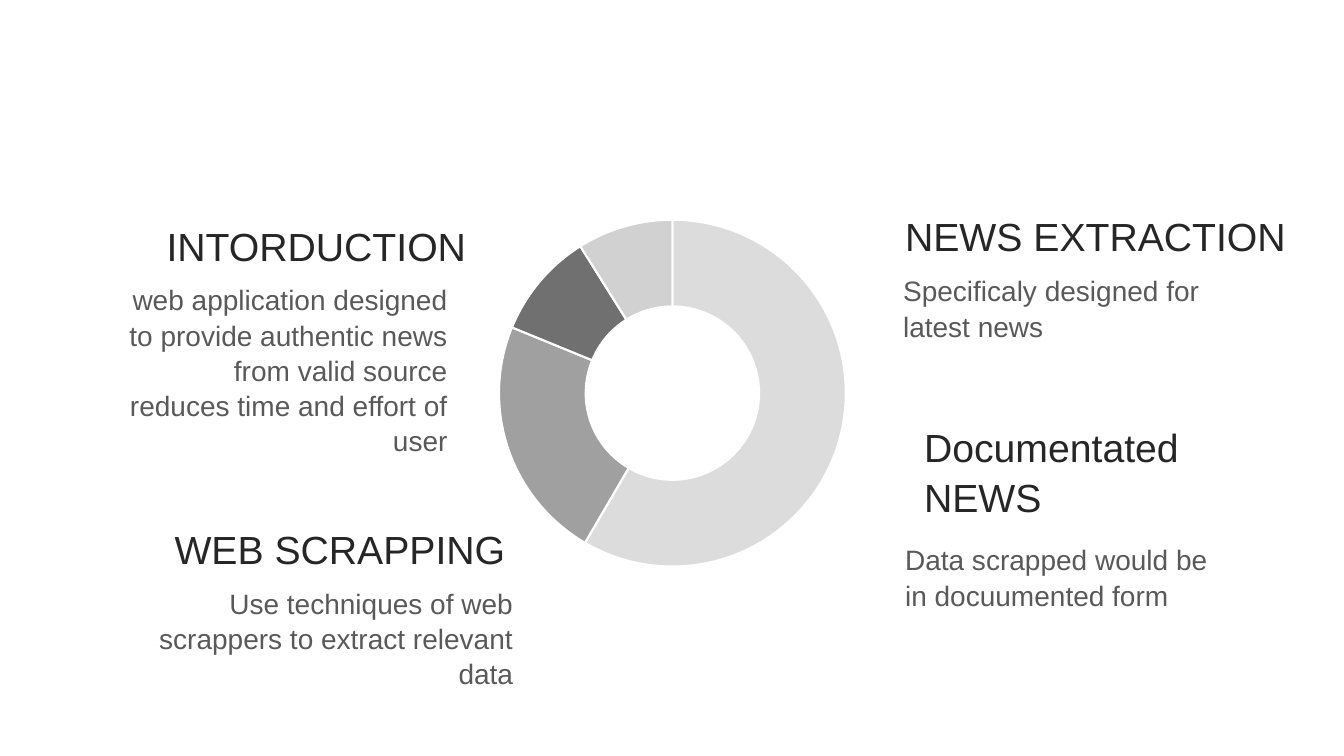
"""Build a slide with a doughnut chart framed by four captioned topics."""
from dataclasses import dataclass

import lxml.etree
import pptx
import pptx.chart.data
import pptx.dml.color
import pptx.enum.chart
import pptx.enum.text
import pptx.oxml
import pptx.oxml.ns
import pptx.util

Pt = pptx.util.Pt
ALIGN = pptx.enum.text.PP_ALIGN
FONT = "Arial"
HEADING_COLOR, BODY_COLOR = "262626", "595959"
SLICE_COLORS = ["DCDCDC", "A0A0A0", "707070", "D1D1D1"]


@dataclass
class Box:
    text: str
    left: float
    top: float
    width: float
    height: float


@dataclass
class Topic:
    heading: Box
    body: Box
    align: ALIGN


TOPICS = [
    Topic(Box("NEWS EXTRACTION", 639.4, 146.2, 287.3, 41),
          Box("Specificaly designed for latest news", 638, 190.8, 242.6, 55.4),
          ALIGN.LEFT),
    Topic(Box("Documentated NEWS", 653, 297.4, 212.4, 74.9),
          Box("Data scrapped would be in docuumented form", 639.4, 383, 242.6, 55.4),
          ALIGN.LEFT),
    Topic(Box("INTORDUCTION", 110.9, 153.4, 229, 41),
          Box("web application designed to provide authentic news from valid source "
              "reduces time and effort of user", 84.2, 197.3, 242.6, 128.2),
          ALIGN.RIGHT),
    Topic(Box("WEB SCRAPPING", 114.5, 370, 253.4, 41),
          Box("Use techniques of web scrappers to extract relevant data",
              84.2, 414, 289.4, 79.9),
          ALIGN.RIGHT),
]


def set_color(target, color: str) -> None:
    """Apply a hex colour to a solid fill."""
    target.solid()
    target.fore_color.rgb = pptx.dml.color.RGBColor.from_string(color)


def add_text(shapes, box: Box, size: float, color: str, align: ALIGN) -> None:
    """Add one wrapped text box."""
    sp = shapes.add_textbox(Pt(box.left), Pt(box.top), Pt(box.width), Pt(box.height))
    tf = sp.text_frame
    tf.word_wrap = True
    tf.auto_size = pptx.enum.text.MSO_AUTO_SIZE.SHAPE_TO_FIT_TEXT
    p = tf.paragraphs[0]
    p.text = box.text
    p.alignment = align
    p.line_spacing = 1.05
    p.font.name = FONT
    p.font.size = Pt(size)
    set_color(p.font.fill, color)


def add_topic(slide, topic: Topic) -> None:
    """Add a heading and its body as one group."""
    group = slide.shapes.add_group_shape()
    add_text(group.shapes, topic.heading, 28, HEADING_COLOR, topic.align)
    add_text(group.shapes, topic.body, 20, BODY_COLOR, topic.align)


def add_doughnut(slide) -> None:
    """Add the doughnut chart with a fixed plot area."""
    data = pptx.chart.data.CategoryChartData()
    data.categories = ["1", "2", "3", "4"]
    data.add_series("Series 1", [59, 23, 10, 9])
    chart = slide.shapes.add_chart(
        pptx.enum.chart.XL_CHART_TYPE.DOUGHNUT,
        Pt(301), Pt(146.2), Pt(358.6), Pt(269.3), data).chart
    chart.has_legend = False
    chart.has_title = False
    chart.font.name = FONT
    chart.font.size = Pt(10)
    set_color(chart.font.fill, "000000")
    plot = chart.plots[0]
    plot.vary_by_categories = True
    for i, color in enumerate(SLICE_COLORS):
        fmt = plot.series[0].points[i].format
        set_color(fmt.fill, color)
        set_color(fmt.line.fill, "FFFFFF")
        fmt.line.width = Pt(1.5)

    qn = pptx.oxml.ns.qn
    area = chart.element.find(".//" + qn("c:plotArea"))
    area.find(".//" + qn("c:holeSize")).set("val", "75")
    layout = area.find(qn("c:layout"))
    if layout is None:
        layout = lxml.etree.Element(qn("c:layout"))
        area.insert(0, layout)
    manual = lxml.etree.SubElement(layout, qn("c:manualLayout"))
    settings = {"layoutTarget": "inner", "xMode": "edge", "yMode": "edge",
                "x": "0.15", "y": "0.04", "w": "0.7", "h": "0.92"}
    for name, value in settings.items():
        lxml.etree.SubElement(manual, qn("c:" + name)).set("val", value)


def main() -> None:
    """Create and save the presentation."""
    prs = pptx.Presentation()
    prs.slide_width, prs.slide_height = Pt(960), Pt(540)
    s = prs.slides.add_slide(prs.slide_layouts[6])
    add_doughnut(s)
    for topic in TOPICS:
        add_topic(s, topic)
    prs.save("out.pptx")


if __name__ == "__main__":
    main()
